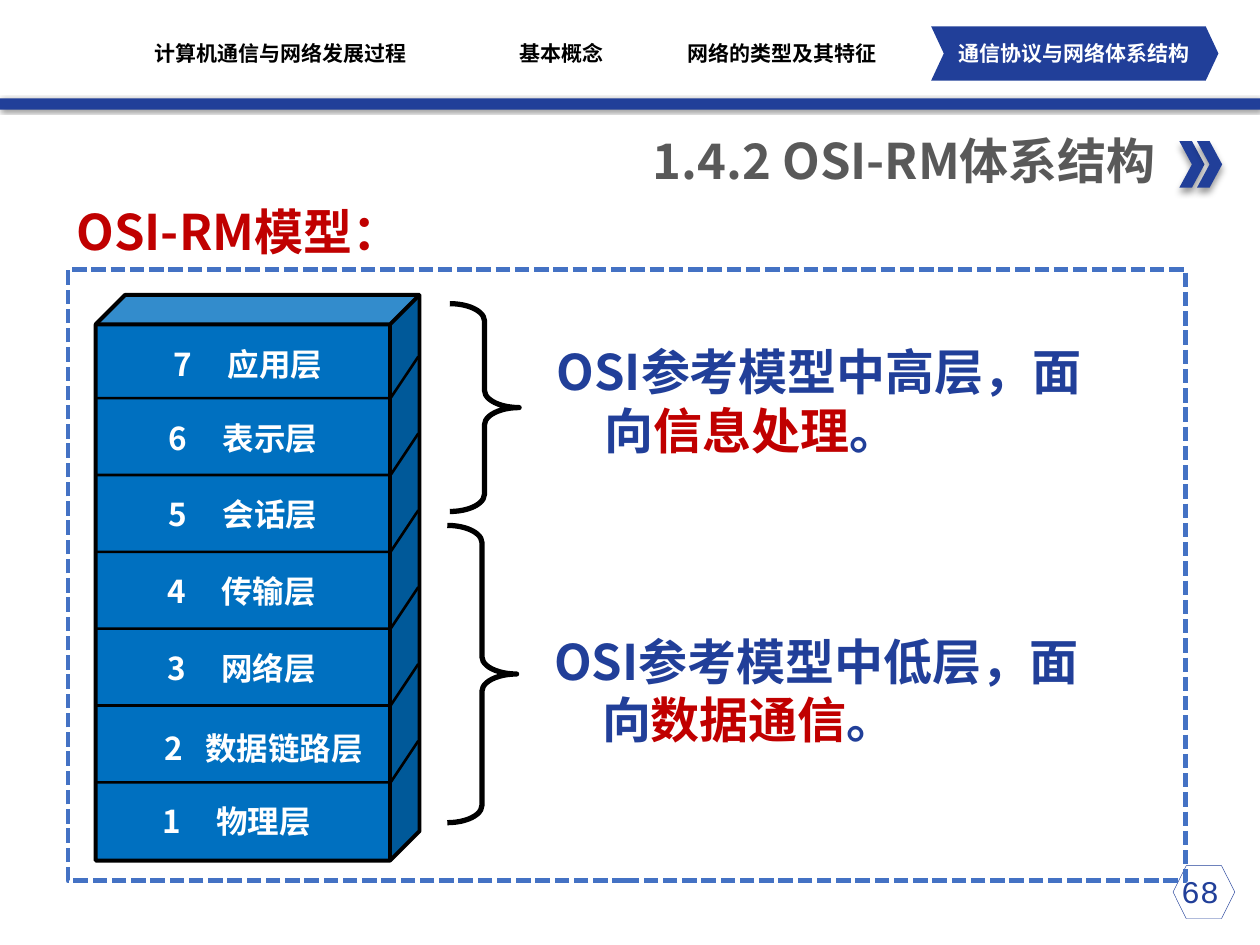
from lxml import etree
from pptx import Presentation
from pptx import util as u
from pptx.dml.color import RGBColor
from pptx.enum import dml, shapes, text
from pptx.oxml.ns import qn

KIND = shapes.MSO_SHAPE
ALIGN = text.PP_ALIGN


def colour(value):
    return RGBColor.from_string(value)


class SlideBuilder:
    """Holds the style and the current slide, and draws each kind of element."""

    font = "Noto Sans CJK SC"
    blue, red, grey = "213F99", "C00000", "595959"
    black, white = "000000", "FFFFFF"
    layer_blue, frame_blue = "0070C0", "4472C4"

    def __init__(self, slide):
        self.slide = slide

    def paint(self, shape, fill, line, width, dash=None):
        shape.shadow.inherit = False
        if fill:
            shape.fill.solid()
            shape.fill.fore_color.rgb = colour(fill)
        else:
            shape.fill.background()
        if line:
            shape.line.color.rgb = colour(line)
            shape.line.width = u.Pt(width)
            if dash:
                shape.line.dash_style = dash
        else:
            shape.line.fill.background()

    def shape(self, kind, box, fill=None, line=None, width=1, dash=None, adjust=()):
        shape = self.slide.shapes.add_shape(kind, *map(u.Inches, box))
        self.paint(shape, fill, line, width, dash)
        for index, value in enumerate(adjust):
            shape.adjustments[index] = value
        return shape

    def shadow(self, shape, blur, distance, angle):
        effects = shape._element.spPr.find(qn("a:effectLst"))
        outer = etree.SubElement(
            effects, qn("a:outerShdw"), blurRad=str(u.Pt(blur)),
            dist=str(u.Pt(distance)), dir=str(angle * 60000), rotWithShape="0")
        tint = etree.SubElement(outer, qn("a:srgbClr"), val=self.black)
        etree.SubElement(tint, qn("a:alpha"), val="40000")

    def polyline(self, points):
        start, *rest = [tuple(map(u.Inches, point)) for point in points]
        builder = self.slide.shapes.build_freeform(*start)
        builder.add_line_segments(rest, close=False)
        self.paint(builder.convert_to_shape(), None, self.black, 1.5)

    def text(self, box, runs, size, align=ALIGN.LEFT, font=font, bold=True,
             inset=True, hanging=0, tab=0):
        shape = self.slide.shapes.add_textbox(*map(u.Inches, box))
        frame = shape.text_frame
        frame.word_wrap = True
        if not inset:
            frame.margin_left = frame.margin_right = 0
            frame.margin_top = frame.margin_bottom = 0
            frame.vertical_anchor = text.MSO_ANCHOR.MIDDLE
        paragraph = frame.paragraphs[0]
        paragraph.alignment = align
        properties = paragraph._p.get_or_add_pPr()
        if hanging:
            properties.set("marL", str(u.Inches(hanging)))
            properties.set("indent", str(-u.Inches(hanging)))
        if tab:
            stops = etree.SubElement(properties, qn("a:tabLst"))
            etree.SubElement(stops, qn("a:tab"), pos=str(u.Inches(tab)), algn="l")
        for wording, shade in runs:
            run = paragraph.add_run()
            run.text = wording
            run.font.size = u.Pt(size)
            run.font.bold = bold
            run.font.name = font
            run.font.color.rgb = colour(shade)
            etree.SubElement(run._r.get_or_add_rPr(), qn("a:ea"), typeface=self.font)

    def navigation(self, left, width, wording, shade):
        self.text((left, 0.32, width, 0.2), [(wording, shade)], 12,
                  ALIGN.CENTER, "Arial Narrow", inset=False)

    def layer(self, left, top, number, name, tab):
        self.text((left, top, 1.9, 0.4), [(f"{number}\t{name}", self.white)], 18, tab=tab)

    def summary(self, left, top, wording, emphasis):
        runs = [(wording, self.blue), (emphasis, self.red), ("。", self.blue)]
        self.text((left, top, 4.61, 1.04), runs, 28, hanging=0.38)


def main():
    presentation = Presentation()
    presentation.slide_width, presentation.slide_height = u.Inches(10), u.Inches(7.5)
    page = SlideBuilder(presentation.slides.add_slide(presentation.slide_layouts[6]))

    page.shape(KIND.HEXAGON, (9.31, 6.87, 0.49, 0.42), line=page.blue, width=0.25)
    bar = page.shape(KIND.RECTANGLE, (0, 0.78, 10, 0.09), page.blue)
    page.shadow(bar, 2, 1, 45)
    for left in (9.36, 9.5):
        chevron = page.shape(KIND.CHEVRON, (left, 1.12, 0.2, 0.37), page.blue)
        page.shadow(chevron, 4, 3, 90)
    page.text((9.09, 6.87, 0.87, 0.4), [("68", page.blue)], 18,
              ALIGN.CENTER, "Courier New", bold=False)
    page.text((2.32, 0.99, 6.95, 0.57), [("1.4.2 OSI-RM体系结构", page.grey)], 28, ALIGN.RIGHT)
    page.shape(KIND.RECTANGLE, (0.54, 2.14, 8.87, 4.85), line=page.frame_blue,
               width=2.75, dash=dml.MSO_LINE.SQUARE_DOT)

    page.shape(KIND.CHEVRON, (7.39, 0.21, 2.28, 0.43), page.blue, adjust=[0.234])
    for left, width, wording, shade in (
        (7.27, 2.51, "通信协议与网络体系结构", page.white),
        (1.1, 2.26, "计算机通信与网络发展过程", page.black),
        (3.73, 1.45, "基本概念", page.black),
        (5.38, 1.65, "网络的类型及其特征", page.black),
    ):
        page.navigation(left, width, wording, shade)
    page.text((0.51, 1.55, 3.15, 0.57), [("OSI-RM模型：", page.red)], 28)

    page.shape(KIND.CUBE, (0.76, 2.34, 2.57, 4.49), page.layer_blue,
               page.black, 2.25, adjust=[0.091])
    for index in range(6):
        top = 2.83 + 0.61 * index
        page.polyline([(3.32, top), (3.1, top + 0.33), (0.77, top + 0.33)])
    for left, top, number, name, tab in (
        (1.28, 2.69, 7, "应用层", 0.43),
        (1.24, 3.28, 6, "表示层", 0.43),
        (1.24, 3.88, 5, "会话层", 0.43),
        (1.23, 4.49, 4, "传输层", 0.43),
        (1.23, 5.1, 3, "网络层", 0.43),
        (1.21, 5.74, 2, "数据链路层", 0.32),
        (1.19, 6.32, 1, "物理层", 0.43),
    ):
        page.layer(left, top, number, name, tab)

    for box in ((3.57, 2.41, 0.55, 1.65), (3.55, 4.17, 0.55, 2.36)):
        page.shape(KIND.RIGHT_BRACE, box, line=page.black, width=3, adjust=[0.25, 0.5])
    page.summary(4.32, 2.66, "OSI参考模型中高层，面向", "信息处理")
    page.summary(4.3, 4.96, "OSI参考模型中低层，面向", "数据通信")

    presentation.save("out.pptx")


if __name__ == "__main__":
    main()
